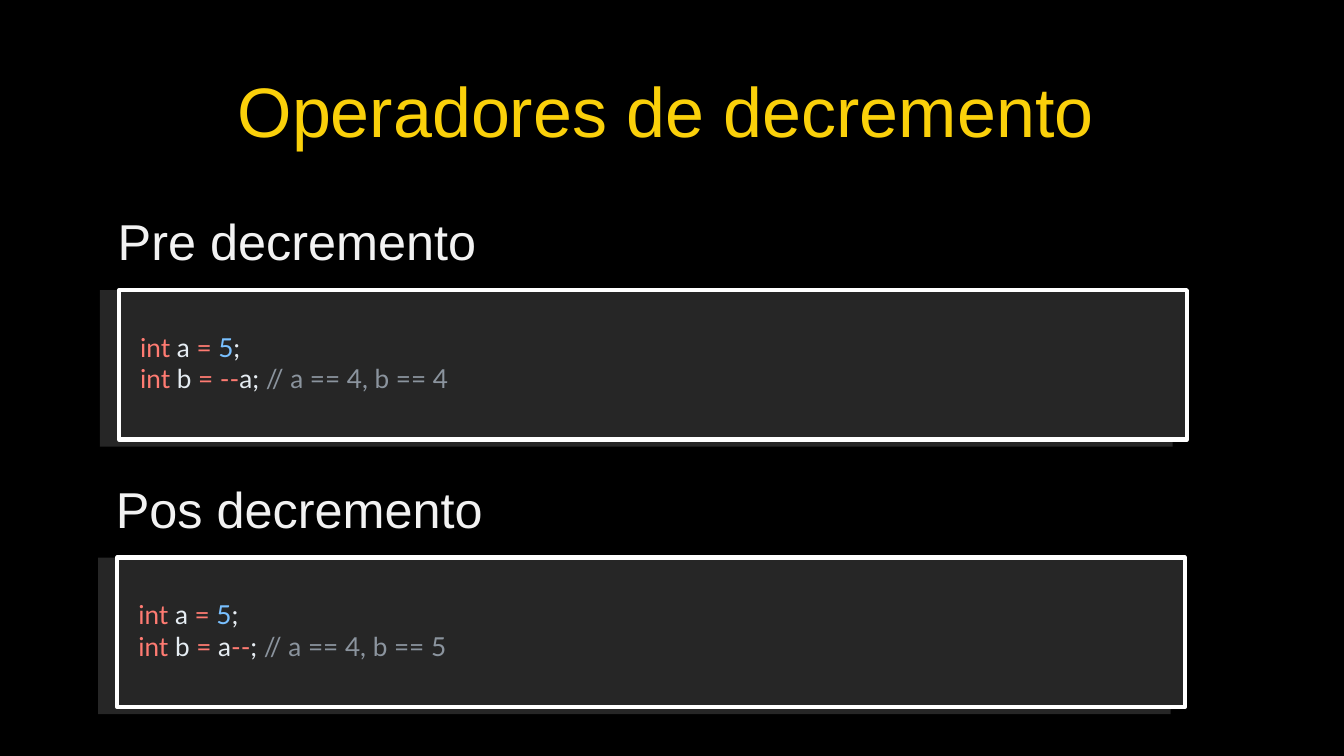
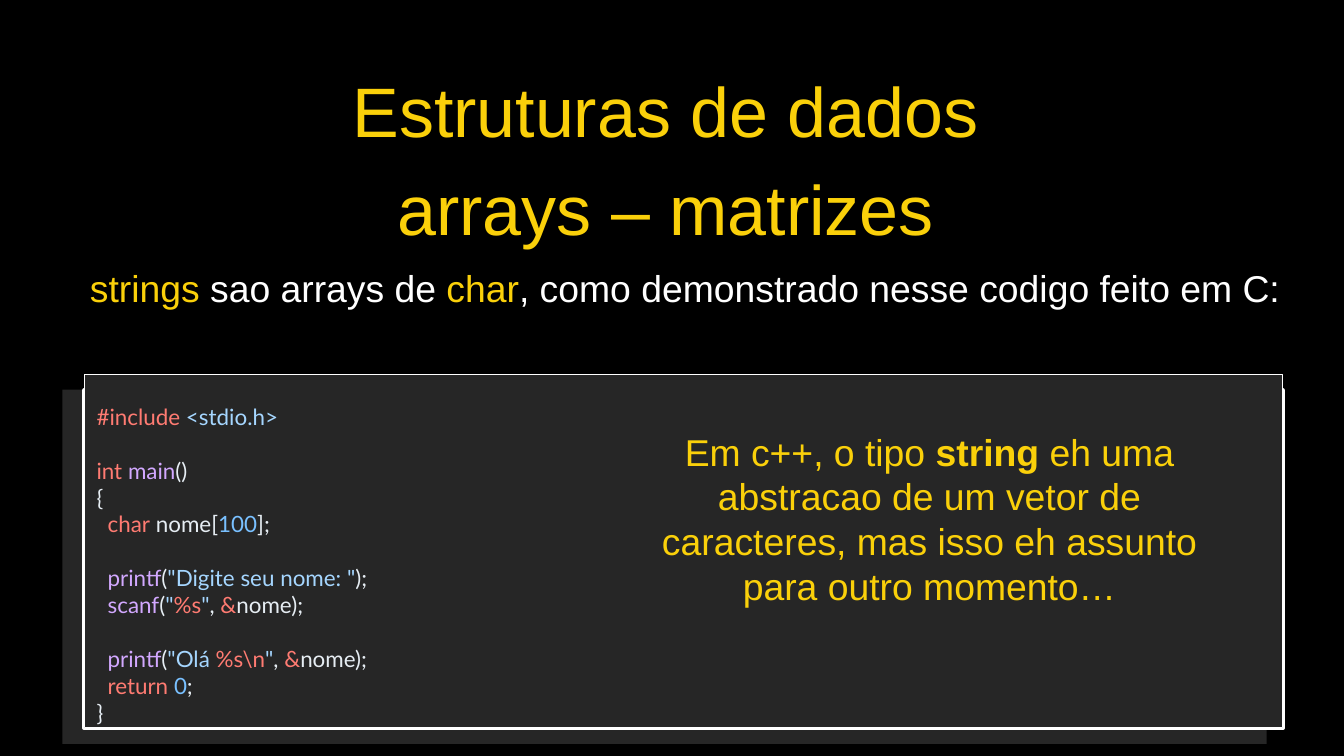
from pptx import Presentation
from pptx.dml.color import RGBColor
from pptx.enum.shapes import MSO_SHAPE
from pptx.enum.text import MSO_ANCHOR, MSO_AUTO_SIZE, PP_ALIGN
from pptx.util import Cm, Pt

RECTANGLE = MSO_SHAPE.RECTANGLE
TOP = MSO_ANCHOR.TOP
NO_AUTOFIT = MSO_AUTO_SIZE.NONE
LEFT, CENTER, JUSTIFY = PP_ALIGN.LEFT, PP_ALIGN.CENTER, PP_ALIGN.JUSTIFY

COLORS = {
    "background": "000000", "panel": "262626", "frame": "FFFFFF",
    "yellow": "FAD00A", "heading": "F2F2F2", "white": "FFFFFF",
    "keyword": "FF7B72", "plain": "E6EDF3", "number": "79C0FF",
    "comment": "8B949E", "string": "A5D6FF", "function": "D2A8FF",
}

DECREMENT_TITLE = ["Operadores de decremento"]
ASSIGN_FIVE = [("int", "keyword"), (" a ", "plain"), ("= ", "keyword"),
               ("5", "number"), (";", "plain")]
DECREMENTS = [
    ("Pre decremento", [
        ASSIGN_FIVE,
        [("int", "keyword"), (" b ", "plain"), ("= --", "keyword"),
         ("a;", "plain"), (" // a == 4, b == 4", "comment")],
    ]),
    ("Pos decremento", [
        ASSIGN_FIVE,
        [("int", "keyword"), (" b ", "plain"), ("=", "keyword"), (" a", "plain"),
         ("--", "keyword"), (";", "plain"), (" // a == 4, b == 5", "comment")],
    ]),
]

ARRAYS_TITLE = ["Estruturas de dados", "arrays – matrizes"]
STRINGS_SENTENCE = [
    ("strings ", "yellow"), ("sao arrays de ", "white"), ("char", "yellow"),
    (", como demonstrado nesse codigo feito em C:", "white"),
]
NAME_ARGUMENT = [('"', "string"), (", ", "plain"), ("&", "keyword"), ("nome);", "plain")]
C_PROGRAM = [
    [("#include ", "keyword"), ("<stdio.h>", "string")],
    [("int ", "keyword"), ("main", "function"), ("()", "plain")],
    [("{", "plain")],
    [("char", "keyword"), (" nome[", "plain"), ("100", "number"), ("];", "plain")],
    [("printf", "function"), ("(", "plain"), ('"Digite seu nome: "', "string"),
     (");", "plain")],
    [("scanf", "function"), ("(", "plain"), ('"', "string"), ("%s", "keyword"),
     *NAME_ARGUMENT],
    [("printf", "function"), ("(", "plain"), ('"Olá ', "string"),
     ("%s\\n", "keyword"), *NAME_ARGUMENT],
    [("return ", "keyword"), ("0", "number"), (";", "plain")],
    [("}", "plain")],
]
INDENTED_LINES = range(3, 8)
LINES_AFTER_GAP = (1, 4, 6)
STRING_NOTE = [
    ("Em c++, o tipo ", "yellow"), ("string ", "yellow", True),
    ("eh uma abstracao de um vetor de caracteres, mas isso eh assunto "
     "para outro momento…", "yellow"),
]

CODE_STEP_LEFT, CODE_STEP_TOP = -0.07, 10.11


def rgb(name):
    return RGBColor.from_string(COLORS[name])


def place(box):
    return [Cm(length) for length in box]


def write_text(shape, lines, size, font="Arial", color="yellow", align=LEFT,
               spacing=None, padded=False, indented=(), after_gap=()):
    frame = shape.text_frame
    frame.word_wrap = True
    frame.auto_size = NO_AUTOFIT
    frame.vertical_anchor = TOP
    if not padded:
        frame.margin_left = frame.margin_right = 0
        frame.margin_top = frame.margin_bottom = 0
    for number, line in enumerate(lines):
        paragraph = frame.add_paragraph() if number else frame.paragraphs[0]
        paragraph.alignment = align
        paragraph.space_before = Pt(size * 1.2 if number in after_gap else 0)
        if spacing:
            paragraph.line_spacing = Pt(spacing)
        if number in indented:
            paragraph._p.get_or_add_pPr().set("marL", str(Cm(0.42)))
        runs = [(line, color)] if isinstance(line, str) else line
        for text, run_color, *bold in runs:
            run = paragraph.add_run()
            run.text = text
            run.font.name = font
            run.font.size = Pt(size)
            run.font.bold = bool(bold)
            run.font.color.rgb = rgb(run_color)


def add_text(slide, box, lines, size, **text_format):
    write_text(slide.shapes.add_textbox(*place(box)), lines, size, **text_format)


def add_panel(slide, box, line_width=0):
    panel = slide.shapes.add_shape(RECTANGLE, *place(box))
    panel.shadow.inherit = False
    panel.fill.solid()
    panel.fill.fore_color.rgb = rgb("panel")
    if line_width:
        panel.line.color.rgb = rgb("frame")
        panel.line.width = Pt(line_width)
    else:
        panel.line.fill.background()


def add_titled_slide(presentation, title_lines):
    slide = presentation.slides.add_slide(presentation.slide_layouts[5])
    title = slide.shapes.title
    title.left, title.top, title.width, title.height = place(
        (2.62, 2.03, 45.08, 3.5 * len(title_lines)))
    write_text(title, title_lines, 75, align=CENTER, spacing=105)
    return slide


def build_decrement_slide(presentation):
    slide = add_titled_slide(presentation, DECREMENT_TITLE)
    for index, (heading, code) in enumerate(DECREMENTS):
        left, top = index * CODE_STEP_LEFT, index * CODE_STEP_TOP
        add_panel(slide, (3.78 + left, 10.97 + top, 40.54, 5.92))
        add_panel(slide, (4.5 + left, 10.97 + top, 40.36, 5.65), 4.5)
        add_text(slide, (5.05 + left, 12.4 + top, 36.68, 2.64), code, 28,
                 font="Lato", padded=True)
        add_text(slide, (4.45 + left, 6.53 + top, 45.08, 3.23), [heading], 54,
                 color="heading", spacing=105)


def build_arrays_slide(presentation):
    slide = add_titled_slide(presentation, ARRAYS_TITLE)
    add_text(slide, (3.4, 10.03, 45.08, 3.43), [STRINGS_SENTENCE], 40, align=JUSTIFY)
    add_panel(slide, (2.36, 14.73, 45.52, 13.39))
    add_panel(slide, (3.18, 14.76, 45.31, 12.76), 4.5)
    add_panel(slide, (3.18, 14.15, 45.31, 13.36), 0.75)
    add_text(slide, (3.4, 15.11, 26.77, 12.57), C_PROGRAM, 24, font="Lato",
             padded=True, indented=INDENTED_LINES, after_gap=LINES_AFTER_GAP)
    add_text(slide, (23.7, 16.21, 22.86, 8.56), [STRING_NOTE], 40, align=CENTER)


def main():
    presentation = Presentation()
    presentation.slide_width, presentation.slide_height = Cm(50.8), Cm(28.58)
    background = presentation.slide_master.background.fill
    background.solid()
    background.fore_color.rgb = rgb("background")
    build_decrement_slide(presentation)
    build_arrays_slide(presentation)
    presentation.save("out.pptx")


if __name__ == "__main__":
    main()
